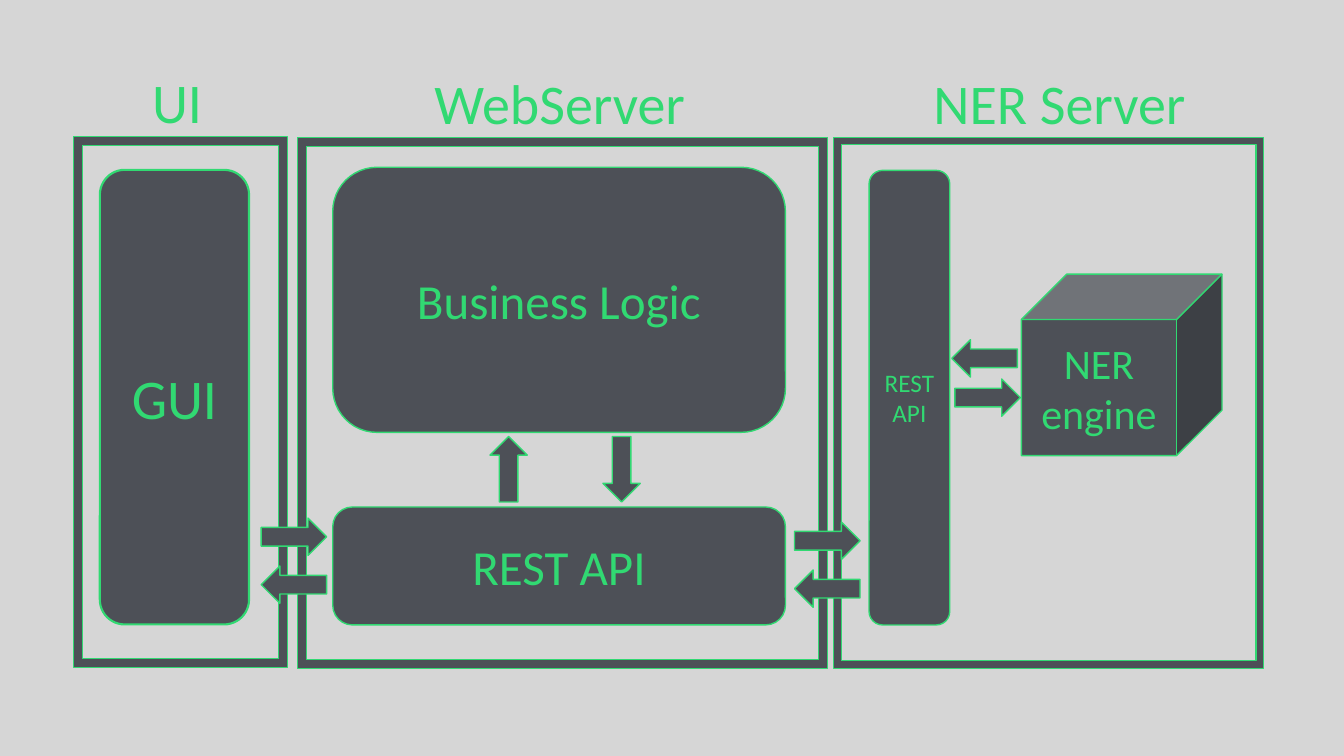
from pptx import Presentation
from pptx.dml.color import RGBColor
from pptx.enum.shapes import MSO_SHAPE
from pptx.enum.text import MSO_ANCHOR, PP_ALIGN
from pptx.util import Inches, Pt

FRAME = MSO_SHAPE.FRAME
ROUND = MSO_SHAPE.ROUNDED_RECTANGLE
CUBE = MSO_SHAPE.CUBE
ARROW = MSO_SHAPE.RIGHT_ARROW
MIDDLE, TOP = MSO_ANCHOR.MIDDLE, MSO_ANCHOR.TOP
CENTER, LEFT = PP_ALIGN.CENTER, PP_ALIGN.LEFT
GREEN, SLATE, GREY = "31D972", "4D5057", "D6D6D6"


def paint(fill, color):
    """Make a fill solid in a hex colour."""
    fill.solid()
    fill.fore_color.rgb = RGBColor.from_string(color)


def write(shape, text, size=40, align=CENTER, anchor=MIDDLE):
    """Put formatted text in a shape."""
    frame = shape.text_frame
    frame.word_wrap = True
    frame.vertical_anchor = anchor
    para = frame.paragraphs[0]
    para.alignment = align
    run = para.add_run()
    run.text = text
    run.font.name = "Calibri"
    run.font.size = Pt(size)
    run.font.color.rgb = RGBColor.from_string(GREEN)


def block(slide, kind, x, y, w, h, text="", size=40, line=1):
    """Draw a slate shape with a green line and optional text."""
    shape = slide.shapes.add_shape(kind, *map(Inches, (x, y, w, h)))
    shape.shadow.inherit = False
    paint(shape.fill, SLATE)
    paint(shape.line.fill, GREEN)
    shape.line.width = Pt(line)
    if text:
        write(shape, text, size)
    return shape


def arrow(slide, x, y, turn=0):
    """Draw a small arrow, turned clockwise by degrees."""
    block(slide, ARROW, x, y, 0.65, 0.37).rotation = turn


def panel(slide, box, title, indent, width, rim):
    """Draw a framed panel with its heading above."""
    x, y, w, h = box
    block(slide, FRAME, x, y, w, h, line=0).adjustments[0] = rim
    label = slide.shapes.add_textbox(
        *map(Inches, (x + indent, y - 0.73, width, 0.77)))
    write(label, title, align=LEFT, anchor=TOP)


def client(slide, box):
    """Draw the UI panel."""
    x, y, w, h = box
    panel(slide, box, "UI", 0.68, 1.86, 0.042)
    block(slide, ROUND, x + 0.26, y + 0.33, 1.48, 4.51, "GUI", line=1.5)


def server(slide, box):
    """Draw the web server panel."""
    x, y, w, h = box
    panel(slide, box, "WebServer", 1.26, 3.58, 0.017)
    for top, tall, text in ((0.3, 2.63, "Business Logic"),
                            (3.67, 1.17, "REST API")):
        block(slide, ROUND, x + 0.35, y + top, 4.49, tall, text, 35)
    for left, turn in ((1.77, 270), (2.89, 90)):
        arrow(slide, x + left, y + 3.11, turn)


def engine(slide, box):
    """Draw the NER server panel."""
    x, y, w, h = box
    panel(slide, box, "NER Server", 0.89, 3.45, 0.017)
    block(slide, ROUND, x + 0.35, y + 0.33, 0.8, 4.51, "REST API", 18)
    block(slide, CUBE, x + 1.86, y + 1.36, 1.99, 1.8, "NER engine", 30)
    arrow(slide, x + 1.17, y + 2.01, 180)
    arrow(slide, x + 1.2, y + 2.4)


def link(slide, x, y):
    """Draw a pair of arrows that joins two panels."""
    arrow(slide, x, y)
    arrow(slide, x, y + 0.475, 180)


def main():
    """Build and save the slide."""
    deck = Presentation()
    deck.slide_width, deck.slide_height = Inches(13.33), Inches(7.5)
    slide = deck.slides.add_slide(deck.slide_layouts[6])
    paint(slide.background.fill, GREY)
    client(slide, (0.73, 1.355, 2.12, 5.27))
    server(slide, (2.95, 1.36, 5.26, 5.27))
    engine(slide, (8.27, 1.36, 4.26, 5.27))
    link(slide, 2.59, 5.14)
    link(slide, 7.88, 5.18)
    deck.save("out.pptx")


main()
